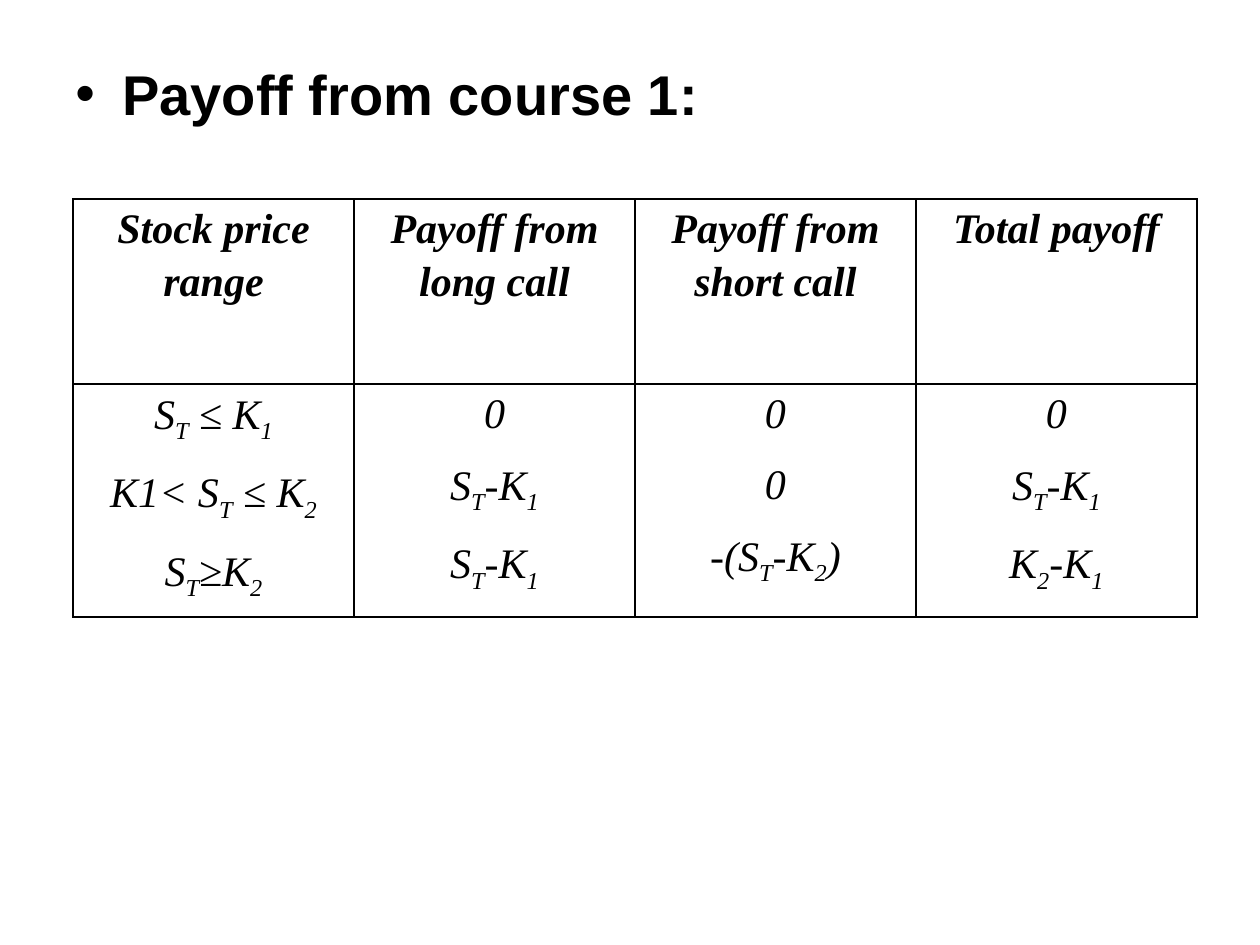
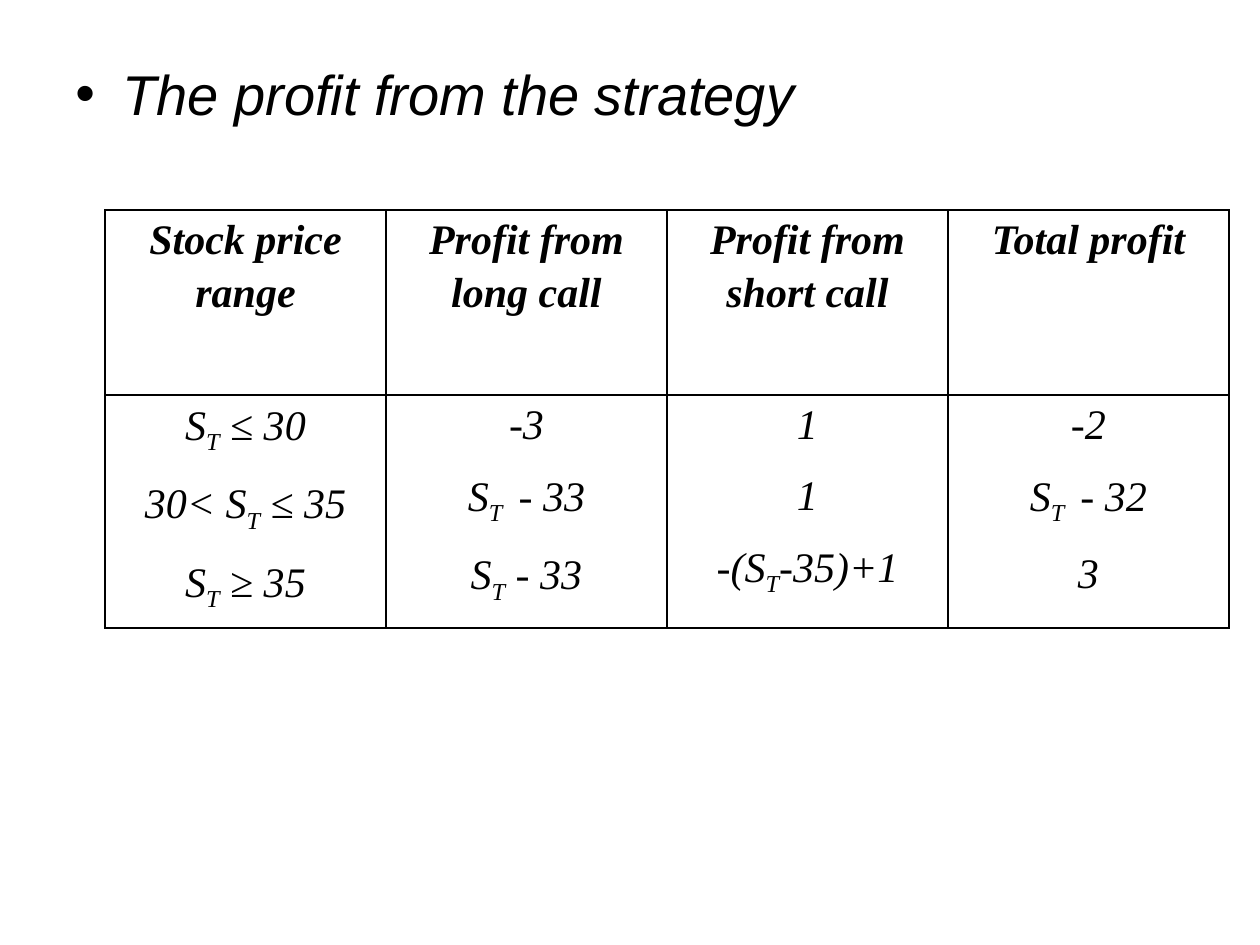
from lxml.etree import SubElement
from pptx import Presentation
from pptx.dml.color import RGBColor
from pptx.enum.text import PP_ALIGN as Align
from pptx.oxml.ns import qn
from pptx.util import Emu, Pt

PX = 914400 / 126
COLORS = {"ink": "000000", "paper": "FFFFFF"}
TITLE = {"name": "Arial", "size": Pt(32)}
CELL = {"name": "Times New Roman", "size": Pt(24), "italic": True}
CELL_PARAGRAPH = {"alignment": Align.CENTER, "line_spacing": 1.15, "space_after": Pt(10)}
CELL_MARGINS = {"margin_left": 9, "margin_right": 9, "margin_top": 0, "margin_bottom": 0}
COLUMN_WIDTH = 281
ROW_HEIGHTS = (185, 218)


def px(n):
    """Turn pixels into EMU."""
    return Emu(round(n * PX))


def apply(target, values):
    """Set attributes from a dict of format values."""
    for name, value in values.items():
        setattr(target, name, value)


class Deck:
    """Hold the shared style and the current slide."""

    def __init__(self):
        """Open an empty presentation of the right size."""
        self.prs = Presentation()
        apply(self.prs, {"slide_width": px(1260), "slide_height": px(945)})

    def slide(self):
        """Start a blank slide."""
        self.s = self.prs.slides.add_slide(self.prs.slide_layouts[6])
        fill = self.s.background.fill
        fill.solid()
        fill.fore_color.rgb = RGBColor.from_string(COLORS["paper"])

    def run(self, p, text, style):
        """Add one run of ink-coloured text."""
        r = p.add_run()
        r.text = text
        apply(r.font, style)
        r.font.color.rgb = RGBColor.from_string(COLORS["ink"])
        return r

    def title(self, text, **emphasis):
        """Add the bulleted heading."""
        tf = self.s.shapes.add_textbox(px(63), px(53), px(1134), px(791)).text_frame
        tf.word_wrap = True
        p = tf.paragraphs[0]
        pPr = p._p.get_or_add_pPr()
        pPr.set("marL", str(px(47)))
        pPr.set("indent", str(px(-47)))
        SubElement(pPr, qn("a:buFont"), typeface=TITLE["name"])
        SubElement(pPr, qn("a:buChar"), char="•")
        self.run(p, text, TITLE | emphasis)

    def formula(self, p, text, style):
        """Write text in which underscores switch subscript on and off."""
        for i, part in enumerate(text.split("_")):
            r = self.run(p, part, style)
            if i % 2:
                r.font._element.set("baseline", "-25000")

    def borders(self, cell):
        """Draw a thin line on each side of a cell."""
        tcPr = cell._tc.get_or_add_tcPr()
        for side in "LRTB":
            ln = SubElement(tcPr, qn(f"a:ln{side}"), w=str(Pt(1)))
            SubElement(SubElement(ln, qn("a:solidFill")), qn("a:srgbClr"), val=COLORS["ink"])

    def cell(self, cell, lines, style):
        """Fill one cell with centred lines."""
        apply(cell, {side: px(n) for side, n in CELL_MARGINS.items()})
        self.borders(cell)
        cell.fill.background()
        tf = cell.text_frame
        for i, line in enumerate(lines):
            p = tf.add_paragraph() if i else tf.paragraphs[0]
            apply(p, CELL_PARAGRAPH)
            self.formula(p, line, style)

    def table(self, x, y, columns):
        """Add a table from a dict of heading to lines."""
        n = len(columns)
        table = self.s.shapes.add_table(2, n, px(x), px(y), px(n * COLUMN_WIDTH),
                                        px(sum(ROW_HEIGHTS))).table
        apply(table, {"first_row": False, "horz_banding": False})
        for row, height in zip(table.rows, ROW_HEIGHTS):
            row.height = px(height)
        for i, (heading, lines) in enumerate(columns.items()):
            table.columns[i].width = px(COLUMN_WIDTH)
            self.cell(table.cell(0, i), [heading], CELL | {"bold": True})
            self.cell(table.cell(1, i), lines, CELL)


def main():
    """Build both slides."""
    deck = Deck()

    deck.slide()
    deck.title("Payoff from course 1:", bold=True)
    deck.table(73, 199, {
        "Stock price range": ["S_T_ ≤ K_1", "K1< S_T_ ≤ K_2", "S_T_≥K_2"],
        "Payoff from long call": ["0", "S_T_-K_1", "S_T_-K_1"],
        "Payoff from short call": ["0", "0", "-(S_T_-K_2_)"],
        "Total payoff": ["0", "S_T_-K_1", "K_2_-K_1"],
    })

    deck.slide()
    deck.title("The profit from the strategy", italic=True)
    deck.table(105, 210, {
        "Stock price range": ["S_T_ ≤ 30", "30< S_T_ ≤ 35", "S_T_ ≥ 35"],
        "Profit from long call": ["-3", "S_T _ - 33", "S_T_ - 33"],
        "Profit from short call": ["1", "1", "-(S_T_-35)+1"],
        "Total profit": ["-2", "S_T _ - 32", "3"],
    })

    deck.prs.save("out.pptx")


if __name__ == "__main__":
    main()
